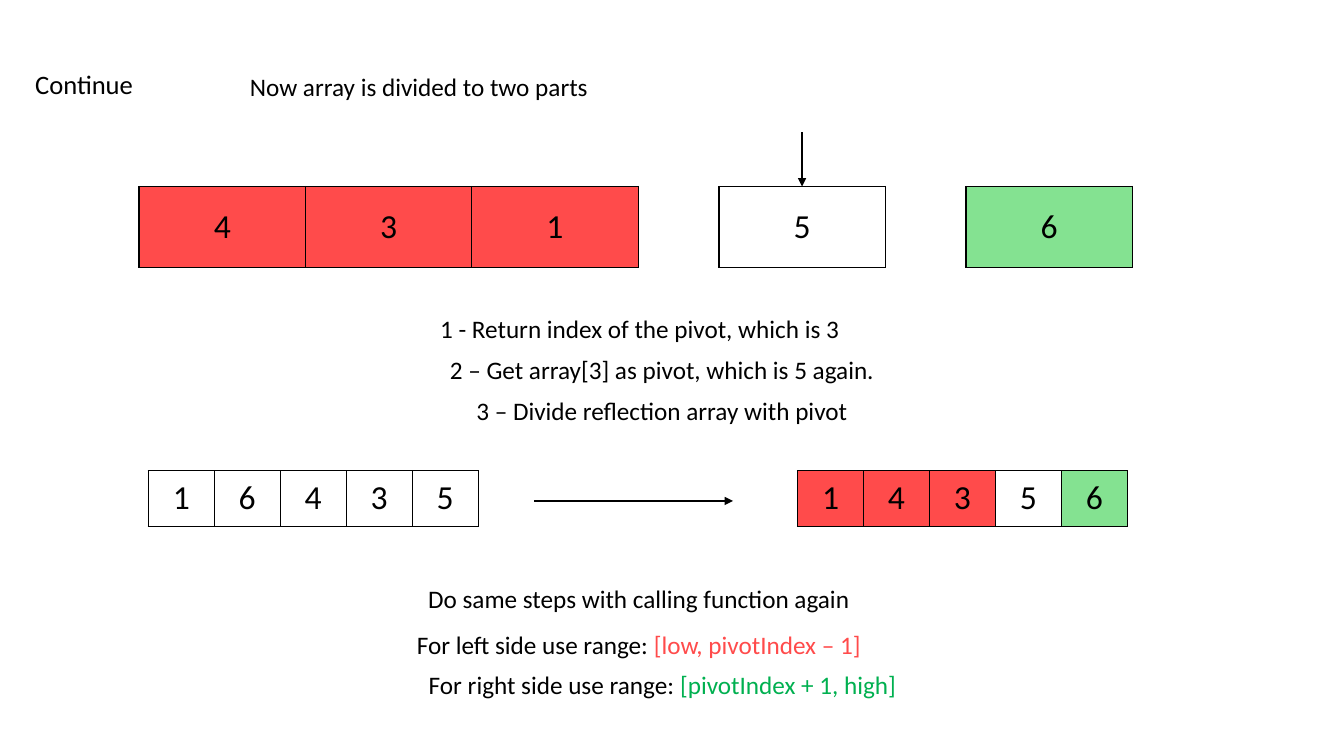
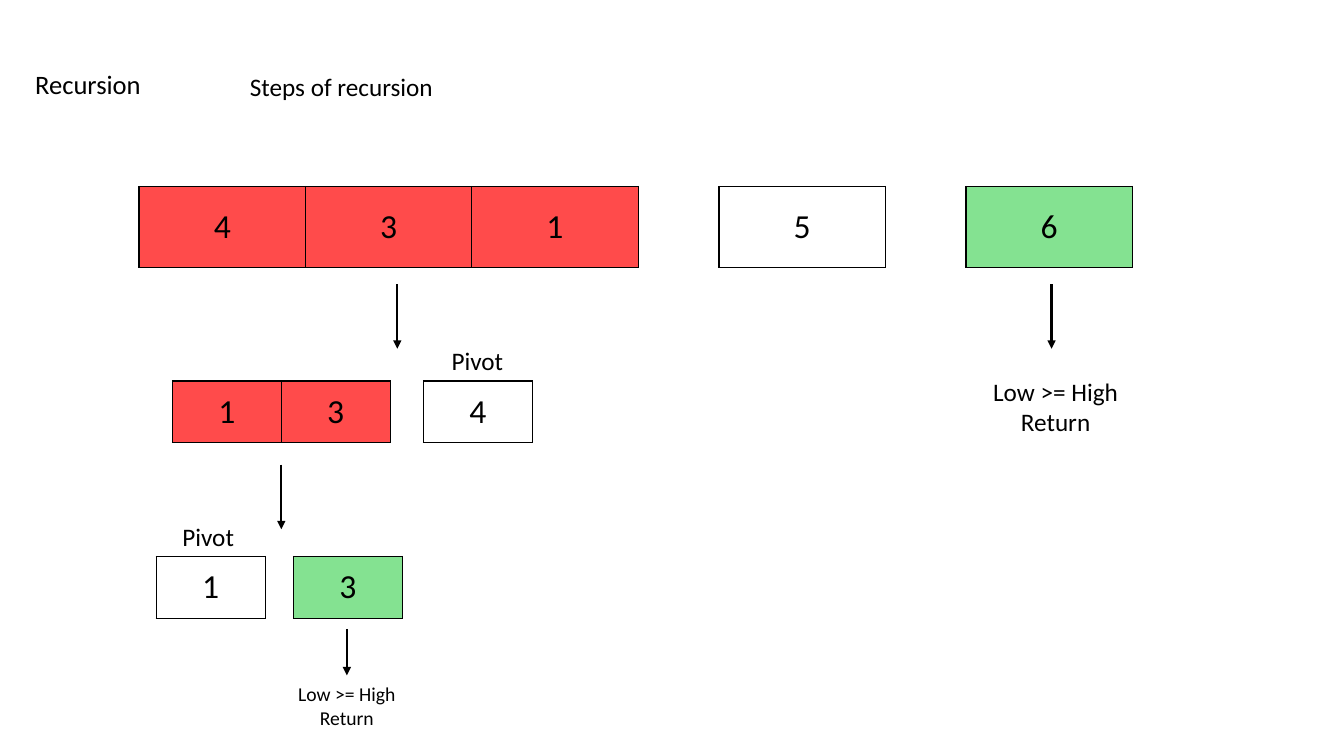
from lxml.etree import SubElement
from pptx import Presentation
from pptx.dml.color import RGBColor
from pptx.enum.shapes import MSO_CONNECTOR
from pptx.enum.text import MSO_ANCHOR, MSO_AUTO_SIZE, PP_ALIGN
from pptx.oxml.ns import qn
from pptx.util import Inches, Pt


class Theme:
    font = "Calibri"
    ink, paper, red = "000000", "FFFFFF", "FF4B4B"
    light, green = "84E291", "00B050"
    title, body, note, digit = 19, 18, 14, 24
    edge, arrow = 1, 1.5


FILLS = {"r": Theme.red, "w": Theme.paper, "g": Theme.light}

# The slide is a grid of 100 columns by 100 rows
WIDE, HIGH = Inches(13.33), Inches(7.5)
LINE = 5.33  # height of one line of body text

# Array rows: left, top, cell width, cell height, then (gap before, digits, fills)
SPLIT = (10.35, 24.67, 12.38, 10.67,
         [(0, "431", "rrr"), (6, "5", "w"), (6, "6", "g")])

# Texts: left, top, width, height, size, centred, wrapped, paragraphs of (text, colour)
def body(left, top, width, *runs):
    return left, top, width, LINE, Theme.body, True, True, [runs]


def pivot(left, top):
    return left, top, 5.4, LINE, Theme.body, False, False, [[("Pivot", Theme.ink)]]


def stop(left, top, width, height, size):
    lines = [[("Low >= High", Theme.ink)], [("Return", Theme.ink)]]
    return left, top, width, height, size, True, False, lines


SLIDES = [
    {
        "title": ("Continue", 9.15),
        "lead": ("Now array is divided to two parts", 28.06),
        "rows": [
            SPLIT,
            (11.03, 62.27, 4.91, 7.33, [(0, "16435", "wwwww")]),
            (59.34, 62.27, 4.91, 7.33, [(0, "14356", "rrrwg")]),
        ],
        "texts": [
            body(28.06, 40.8, 39.08,
                 ("1 - Return index of the pivot, which is 3", Theme.ink)),
            body(27.23, 46.27, 44.04,
                 ("2 – Get array[3] as pivot, which is 5 again.", Theme.ink)),
            body(27.23, 51.6, 44.04,
                 ("3 – Divide reflection array with pivot", Theme.ink)),
            body(25.51, 76.53, 44.04,
                 ("Do same steps with calling function again", Theme.ink)),
            body(25.51, 82.53, 44.04, ("For left side use range: ", Theme.ink),
                 ("[low, pivotIndex – 1]", Theme.red)),
            body(25.51, 87.87, 47.56, ("For right side use range: ", Theme.ink),
                 ("[pivotIndex + 1, high]", Theme.green)),
        ],
        "arrows": [(59.68, 17.47, 59.68, 24.67), (39.76, 66.27, 54.54, 66.27)],
    },
    {
        "title": ("Recursion", 9.83),
        "lead": ("Steps of recursion", 15.98),
        "rows": [
            SPLIT,
            (12.83, 50.4, 8.1, 8.17, [(0, "1", "r"), (0, "3", "r"), (2.48, "4", "w")]),
            (11.63, 73.6, 8.1, 8.17, [(0, "1", "w"), (2.1, "3", "g")]),
        ],
        "texts": [
            pivot(32.86, 45.07),
            pivot(12.83, 68.27),
            stop(72.47, 49.07, 12.15, 9.47, Theme.body),
            stop(20.93, 89.6, 9.75, 7.6, Theme.note),
        ],
        "arrows": [(29.56, 37.6, 29.56, 46.13), (78.24, 37.6, 78.24, 46.13),
                   (20.93, 61.47, 20.93, 70), (25.81, 83.2, 25.81, 89.33)],
    },
]


def place(*spans):
    """Turn alternating columns and rows into lengths."""
    return [round(span * (HIGH if i % 2 else WIDE) / 100)
            for i, span in enumerate(spans)]


def write(para, text, size, color=Theme.ink):
    run = para.add_run()
    run.text = text
    run.font.name = Theme.font
    run.font.size = Pt(size)
    run.font.color.rgb = RGBColor.from_string(color)


def add_text(slide, left, top, width, height, size, centred, wrapped, lines):
    frame = slide.shapes.add_textbox(*place(left, top, width, height)).text_frame
    frame.word_wrap = wrapped
    frame.auto_size = MSO_AUTO_SIZE.SHAPE_TO_FIT_TEXT
    for i, runs in enumerate(lines):
        para = frame.add_paragraph() if i else frame.paragraphs[0]
        para.alignment = PP_ALIGN.CENTER if centred else PP_ALIGN.LEFT
        for text, color in runs:
            write(para, text, size, color)


def add_edges(cell):
    props = cell._tc.get_or_add_tcPr()
    for side in ("lnL", "lnR", "lnT", "lnB"):
        line = SubElement(props, qn(f"a:{side}"), w=str(Pt(Theme.edge)))
        fill = SubElement(line, qn("a:solidFill"))
        SubElement(fill, qn("a:srgbClr"), val=Theme.ink)


def add_row(slide, left, top, width, height, groups):
    for gap, digits, fills in groups:
        left += gap
        span = width * len(digits)
        table = slide.shapes.add_table(
            1, len(digits), *place(left, top, span, height)).table
        table.first_row = table.horz_banding = False
        for cell, digit, fill in zip(table.rows[0].cells, digits, fills):
            add_edges(cell)
            cell.fill.solid()
            cell.fill.fore_color.rgb = RGBColor.from_string(FILLS[fill])
            cell.vertical_anchor = MSO_ANCHOR.MIDDLE
            para = cell.text_frame.paragraphs[0]
            para.alignment = PP_ALIGN.CENTER
            write(para, digit, Theme.digit)
        left += span


def add_arrow(slide, *ends):
    arrow = slide.shapes.add_connector(MSO_CONNECTOR.STRAIGHT, *place(*ends))
    arrow.line.width = Pt(Theme.arrow)
    arrow.line.color.rgb = RGBColor.from_string(Theme.ink)
    SubElement(arrow.line._get_or_add_ln(), qn("a:tailEnd"), type="triangle")
    SubElement(arrow._element.spPr, qn("a:effectLst"))


def add_head(slide, title, lead):
    for (text, width), left, top, height, size in (
            (lead, 17.85, 8.8, LINE, Theme.body),
            (title, 1.88, 8.27, 9.87, Theme.title)):
        add_text(slide, left, top, width, height, size, False, False,
                 [[(text, Theme.ink)]])


def main():
    deck = Presentation()
    deck.slide_width, deck.slide_height = WIDE, HIGH
    for page in SLIDES:
        slide = deck.slides.add_slide(deck.slide_layouts[6])
        add_head(slide, page["title"], page["lead"])
        for row in page["rows"]:
            add_row(slide, *row)
        for text in page["texts"]:
            add_text(slide, *text)
        for ends in page["arrows"]:
            add_arrow(slide, *ends)
    deck.save("out.pptx")


if __name__ == "__main__":
    main()
